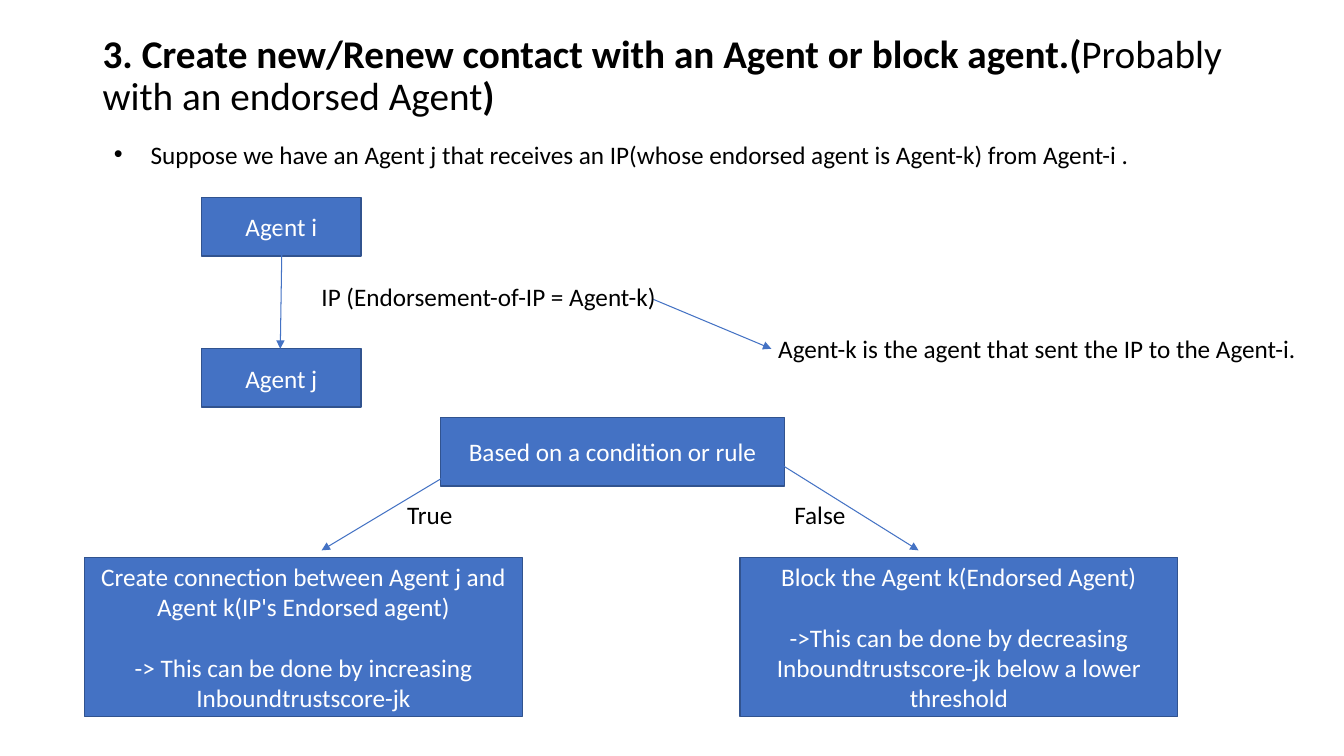
from lxml import etree
from pptx import Presentation
from pptx.dml.color import RGBColor
from pptx.enum.shapes import MSO_CONNECTOR, MSO_SHAPE
from pptx.enum.text import MSO_ANCHOR, MSO_AUTO_SIZE, PP_ALIGN
from pptx.oxml.ns import qn
from pptx.util import Inches, Pt

BLUE, DARK_BLUE, WHITE, BLACK = "4472C4", "31538F", "FFFFFF", "000000"
BODY_FORMAT = {"name": "Calibri", "size": Pt(18), "bold": False}
TITLE_FORMAT = {**BODY_FORMAT, "size": Pt(28)}
BLANK_LINE = Pt(22)


def color(hex_value):
    return RGBColor.from_string(hex_value)


def set_attributes(target, values):
    for name, value in values.items():
        setattr(target, name, value)


def add_run(paragraph, text, font_color, font_format):
    run = paragraph.add_run()
    run.text = text
    set_attributes(run.font, font_format)
    run.font.color.rgb = color(font_color)


def add_text(slide, text, left, top, width, height=0.4):
    """Add a text box holding one line of body text."""
    box = slide.shapes.add_textbox(*map(Inches, (left, top, width, height)))
    set_attributes(box.text_frame, {
        "word_wrap": True, "auto_size": MSO_AUTO_SIZE.SHAPE_TO_FIT_TEXT})
    paragraph = box.text_frame.paragraphs[0]
    add_run(paragraph, text, BLACK, BODY_FORMAT)
    return paragraph


def add_title(slide, runs, left, top, width, height):
    """Add the heading; runs are pairs of text and boldness."""
    box = slide.shapes.add_textbox(*map(Inches, (left, top, width, height)))
    set_attributes(box.text_frame, {
        "word_wrap": True, "vertical_anchor": MSO_ANCHOR.MIDDLE})
    paragraph = box.text_frame.paragraphs[0]
    paragraph.line_spacing = 0.9
    for text, bold in runs:
        add_run(paragraph, text, BLACK, {**TITLE_FORMAT, "bold": bold})


def add_bullet(paragraph, indent):
    properties = paragraph._p.get_or_add_pPr()
    properties.set("marL", str(Inches(indent)))
    properties.set("indent", str(-Inches(indent)))
    etree.SubElement(properties, qn("a:buFont"), typeface="Arial")
    etree.SubElement(properties, qn("a:buChar"), char="•")


def add_box(slide, texts, left, top, width, height):
    """Add a blue box with one paragraph per text."""
    box = slide.shapes.add_shape(
        MSO_SHAPE.RECTANGLE, *map(Inches, (left, top, width, height)))
    box.shadow.inherit = False
    box.fill.solid()
    box.fill.fore_color.rgb = color(BLUE)
    box.line.color.rgb = color(DARK_BLUE)
    box.line.width = Pt(1)
    frame = box.text_frame
    set_attributes(frame, {
        "word_wrap": True, "vertical_anchor": MSO_ANCHOR.MIDDLE})
    for index, text in enumerate(texts):
        paragraph = frame.add_paragraph() if index else frame.paragraphs[0]
        paragraph.alignment = PP_ALIGN.CENTER
        paragraph.space_before = BLANK_LINE if index else Pt(0)
        add_run(paragraph, text, WHITE, BODY_FORMAT)


def add_arrow(slide, start, end):
    arrow = slide.shapes.add_connector(
        MSO_CONNECTOR.STRAIGHT, *map(Inches, (*start, *end)))
    arrow.line.color.rgb = color(BLUE)
    arrow.line.width = Pt(0.75)
    etree.SubElement(arrow.line._get_or_add_ln(), qn("a:tailEnd"), type="triangle")
    etree.SubElement(arrow._element.spPr, qn("a:effectLst"))


def main():
    presentation = Presentation()
    presentation.slide_width = Inches(13.33)
    presentation.slide_height = Inches(7.5)
    slide = presentation.slides.add_slide(presentation.slide_layouts[6])

    # Heading and premise
    add_title(slide, [
        ("3.\u00a0Create new/Renew contact with an Agent or block agent.(", True),
        ("Probably with an endorsed Agent", False),
        (")", True),
    ], 0.92, 0.2, 11.5, 1.13)
    premise = add_text(
        slide, "\u00a0Suppose we have an Agent j that receives an "
        "IP(whose endorsed agent is Agent-k) from Agent-i .", 1.03, 1.33, 10.82)
    add_bullet(premise, 0.31)

    # Agents and the condition
    for agent, top in (("Agent i", 1.96), ("Agent j", 3.46)):
        add_box(slide, [agent], 2, top, 1.58, 0.58)
    add_box(slide, ["Based on a condition or rule"], 4.37, 4.14, 3.41, 0.68)

    # Outcomes
    outcomes = (
        (0.84, ["Create connection between Agent j and Agent k(IP's Endorsed agent)",
                "-> This can be done by increasing Inboundtrustscore-jk"]),
        (7.34, ["Block the Agent k(Endorsed Agent)",
                "->This can be done by decreasing Inboundtrustscore-jk "
                "below a lower threshold"]),
    )
    for left, texts in outcomes:
        add_box(slide, texts, left, 5.53, 4.34, 1.58)

    # Arrows: message, endorsed agent, true branch, false branch
    for start, end in (
        ((2.8, 2.18), (2.78, 3.46)),
        ((6.48, 2.97), (7.65, 3.46)),
        ((4.39, 4.74), (3.19, 5.46)),
        ((7.75, 4.61), (9.11, 5.46)),
    ):
        add_arrow(slide, start, end)

    # Labels
    for text, left, top, width in (
        ("IP (Endorsement-of-IP = Agent-k)", 3.09, 2.74, 3.58),
        ("Agent-k is the agent that sent the IP to the Agent-i.\u00a0", 7.62, 3.26, 5.53),
        ("True", 3.94, 4.9, 0.87),
        ("False", 7.78, 4.9, 0.84),
    ):
        add_text(slide, text, left, top, width)

    presentation.save("out.pptx")


main()
